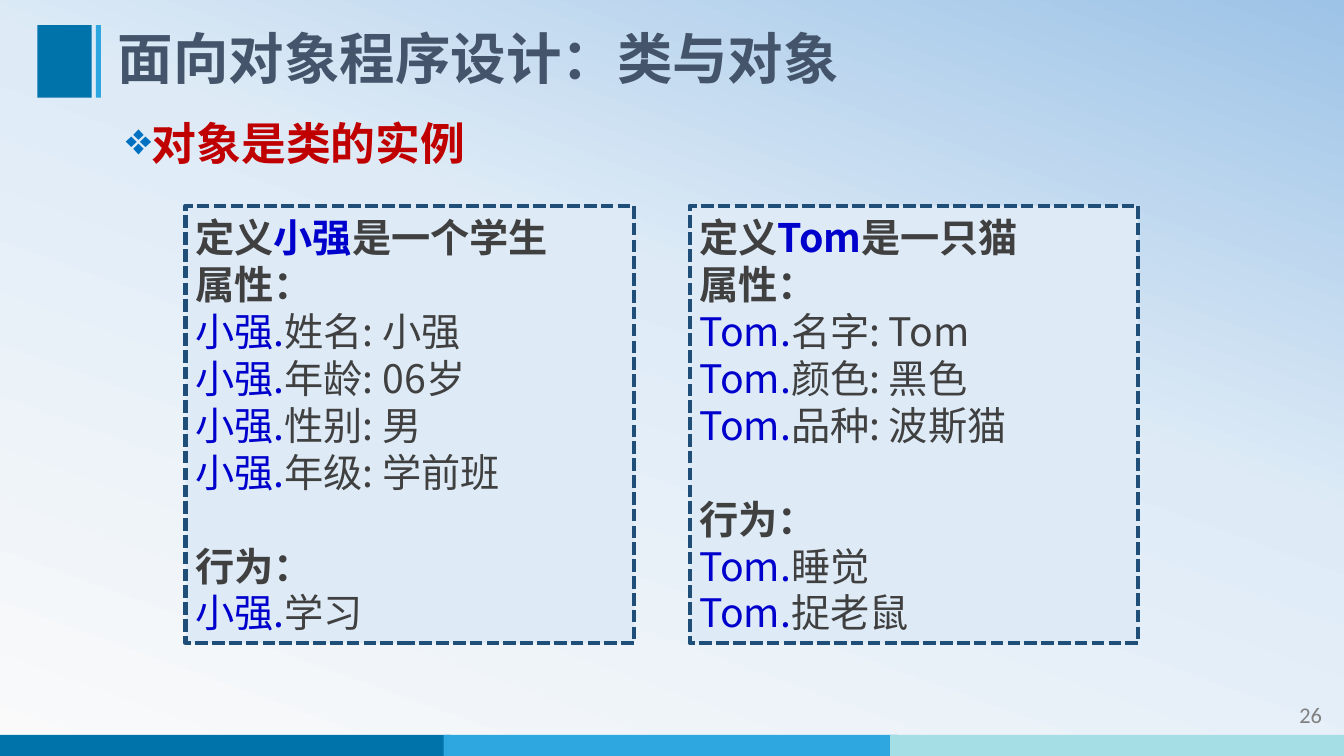
from lxml import etree
from pptx import Presentation
from pptx.dml.color import RGBColor
from pptx.enum.dml import MSO_LINE
from pptx.enum.shapes import MSO_SHAPE
from pptx.enum.text import MSO_ANCHOR, PP_ALIGN
from pptx.oxml.ns import qn
from pptx.util import Inches, Pt

RECT = MSO_SHAPE.RECTANGLE
DASH = MSO_LINE.SQUARE_DOT
MIDDLE, TOP = MSO_ANCHOR.MIDDLE, MSO_ANCHOR.TOP
LEFT, RIGHT = PP_ALIGN.LEFT, PP_ALIGN.RIGHT

FONT = "Noto Sans CJK SC"
DEEP, SKY, MINT = "0073AB", "2EA7E0", "A5DEE4"
PALE, NAVY, GREY, BLUE = "DEEBF7", "1F4E79", "404040", "0000CC"
LINE = Pt(33.5)

# Each line: (name in blue or "", text before it, text after it, bold)
CARDS = [
    ("小强", "是一个学生",
     ["姓名: 小强", "年龄: 06岁", "性别: 男", "年级: 学前班"],
     ["学习"]),
    ("Tom", "是一只猫",
     ["名字: Tom", "颜色: 黑色", "品种: 波斯猫"],
     ["睡觉", "捉老鼠"]),
]


def rgb(code):
    return RGBColor.from_string(code)


def style(run, size, color, bold=False, face=FONT):
    font = run.font
    font.size, font.bold, font.name = Pt(size), bold, face
    font.color.rgb = rgb(color)
    latin = run._r.get_or_add_rPr().find(qn("a:latin"))
    east = etree.Element(qn("a:ea"), typeface=face)
    latin.addnext(east)


def place(shape, left, top, width, height):
    shape.left, shape.top = Inches(left), Inches(top)
    shape.width, shape.height = Inches(width), Inches(height)


def backdrop(slide):
    fill = slide.background.fill
    fill.gradient()
    fill.gradient_angle = 70
    stops = fill._fill._gradFill.find(qn("a:gsLst"))
    for stop in list(stops):
        stops.remove(stop)
    for share, code in [(0, "FAFAFA"), (58, PALE), (100, "9DC3E6")]:
        stop = etree.SubElement(stops, qn("a:gs"), pos=str(share * 1000))
        etree.SubElement(stop, qn("a:srgbClr"), val=code)


def block(slide, left, top, width, height, color):
    shape = slide.shapes.add_shape(
        RECT, Inches(left), Inches(top), Inches(width), Inches(height))
    shape.shadow.inherit = False
    shape.fill.solid()
    shape.fill.fore_color.rgb = rgb(color)
    shape.line.fill.background()
    return shape


def heading(slide, text):
    title = slide.shapes.title
    place(title, 1.07, 0.25, 10.86, 0.72)
    frame = title.text_frame
    frame.text = text
    frame.vertical_anchor = MIDDLE
    para = frame.paragraphs[0]
    para.alignment, para.line_spacing = LEFT, 0.9
    style(para.runs[0], 39.6, "44546A", True)


def label(slide, left, top, width, height, text):
    """Add a one-paragraph text box and return its paragraph."""
    box = slide.shapes.add_textbox(
        Inches(left), Inches(top), Inches(width), Inches(height))
    box.text_frame.word_wrap = True
    box.text_frame.text = text
    return box.text_frame.paragraphs[0]


def bullet(para, mark, color):
    props = para._p.get_or_add_pPr()
    props.set("marL", str(Inches(0.25)))
    props.set("indent", str(-Inches(0.25)))
    tint = etree.SubElement(props, qn("a:buClr"))
    etree.SubElement(tint, qn("a:srgbClr"), val=color)
    etree.SubElement(props, qn("a:buChar"), char=mark)


def write(frame, parts, bold=False, gap=0):
    """Add one line of (text, color) parts, after a gap if given."""
    first = not frame.paragraphs[0].runs
    para = frame.paragraphs[0] if first else frame.add_paragraph()
    para.alignment, para.line_spacing = LEFT, LINE
    if gap:
        para.space_before = gap
    for text, color in parts:
        run = para.add_run()
        run.text = text
        style(run, 28, color, bold)


def card(slide, left, name, kind, traits, acts):
    box = block(slide, left, 2.04, 4.45, 4.34, PALE)
    box.line.color.rgb = rgb(NAVY)
    box.line.width = Pt(3)
    box.line.dash_style = DASH
    frame = box.text_frame
    frame.word_wrap = True
    frame.vertical_anchor = TOP
    frame.margin_top = Inches(0.08)
    write(frame, [("定义", GREY), (name, BLUE), (kind, GREY)], True)
    for head, items, gap in [("属性：", traits, 0), ("行为：", acts, LINE)]:
        write(frame, [(head, GREY)], True, gap)
        for item in items:
            write(frame, [(name + ".", BLUE), (item, GREY)])


def main():
    deck = Presentation()
    deck.slide_width, deck.slide_height = Inches(13.33), Inches(7.5)
    slide = deck.slides.add_slide(deck.slide_layouts[5])
    backdrop(slide)
    for left, color in [(-0.03, DEEP), (4.4, SKY), (8.83, MINT)]:
        block(slide, left, 7.29, 4.5, 0.21, color)
    block(slide, 0.37, 0.25, 0.54, 0.72, DEEP)
    block(slide, 0.95, 0.25, 0.05, 0.72, SKY)

    heading(slide, "面向对象程序设计：类与对象")
    topic = label(slide, 1.15, 1.16, 10.7, 0.7, "对象是类的实例")
    topic.line_spacing = 0.9
    bullet(topic, "❖", "0070C0")
    style(topic.runs[0], 32, "C00000", True)

    for col, data in enumerate(CARDS):
        card(slide, 1.84 + 5 * col, *data)

    number = label(slide, 11.62, 6.91, 1.59, 0.4, "26")
    number.alignment = RIGHT
    style(number.runs[0], 16, "808080", face="Calibri")
    deck.save("out.pptx")


if __name__ == "__main__":
    main()
